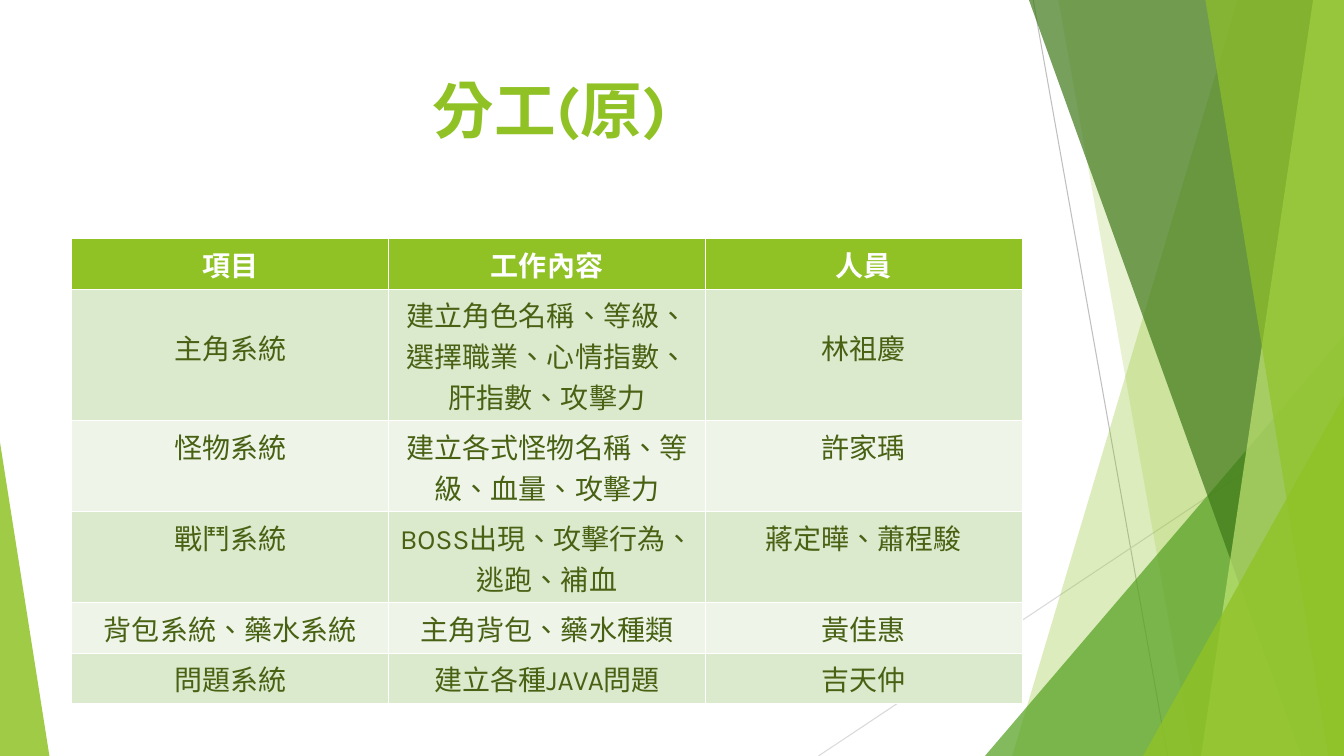
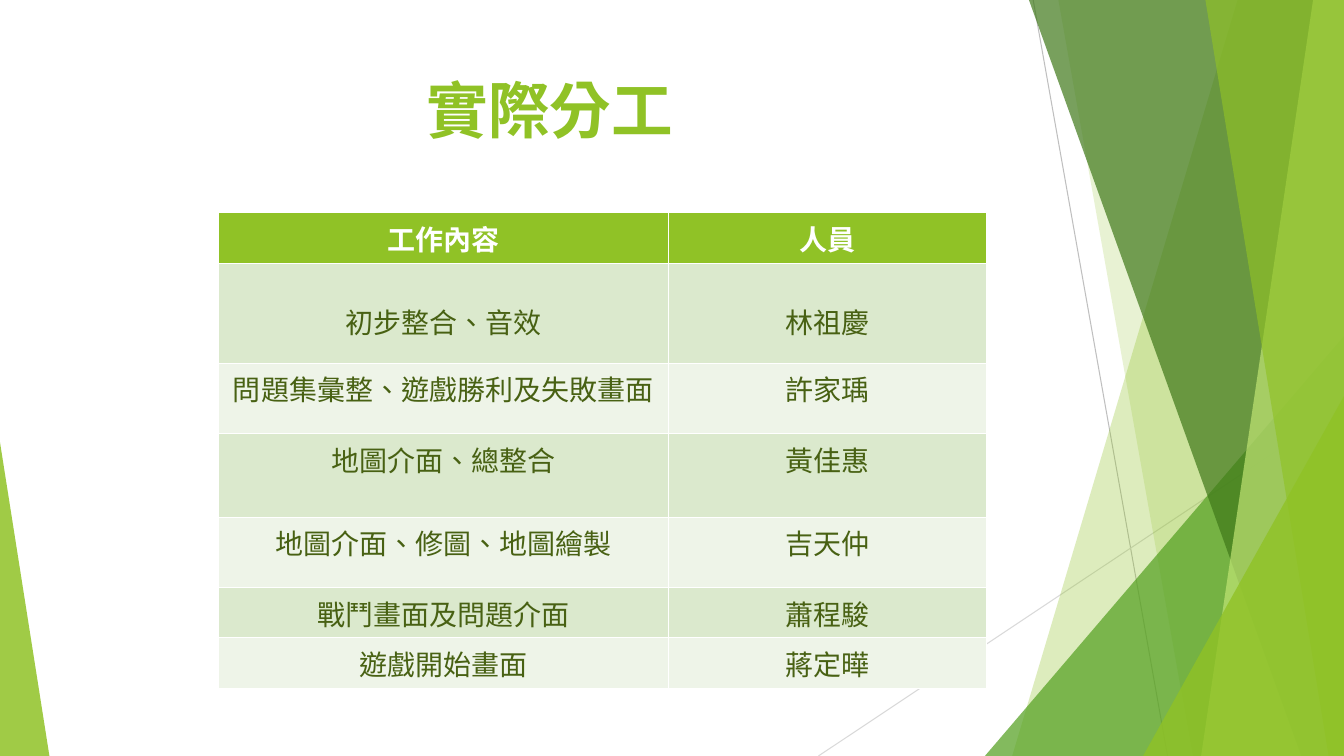
from lxml import etree
from pptx import Presentation
from pptx.dml.color import RGBColor
from pptx.enum.lang import MSO_LANGUAGE_ID
from pptx.enum.shapes import MSO_CONNECTOR, MSO_SHAPE
from pptx.enum.text import MSO_ANCHOR, PP_ALIGN
from pptx.oxml.ns import qn
from pptx.util import Pt

STRAIGHT = MSO_CONNECTOR.STRAIGHT
TRIANGLE = MSO_SHAPE.RIGHT_TRIANGLE
PEAK = MSO_SHAPE.ISOSCELES_TRIANGLE
CENTER = PP_ALIGN.CENTER
TOP = MSO_ANCHOR.TOP
CHINESE = MSO_LANGUAGE_ID.TRADITIONAL_CHINESE

FONT = "Karla"
WIDTH, HEIGHT = 960, 540
COLORS = {
    "lime": "90C226",
    "pale_lime": "C0E474",
    "green": "54A021",
    "forest": "3F7819",
    "text": "486113",
    "white": "FFFFFF",
    "band_dark": "DBE9CD",
    "band_light": "EEF4E8",
    "line_dark": "BFBFBF",
    "line_light": "D9D9D9",
}
CELL_MARGIN = 3.6
FIRST_ROW_MARGIN = 27


def rgb(name):
    return RGBColor.from_string(COLORS[name])


def style_text(p, size, color, bold):
    p.alignment = CENTER
    for r in p.runs:
        r.font.size = Pt(size)
        r.font.name = FONT
        r.font.bold = bold
        r.font.color.rgb = rgb(color)
        r.font.language_id = CHINESE


def fill_glass(sp, color, opacity):
    sp.shadow.inherit = False
    sp.fill.solid()
    sp.fill.fore_color.rgb = rgb(color)
    sp.line.fill.background()
    clr = sp.fill._xPr.find(qn("a:solidFill"))[0]
    etree.SubElement(clr, qn("a:alpha"), val=str(opacity * 1000))


def add_line(s, x1, y1, x2, y2, color):
    line = s.shapes.add_connector(STRAIGHT, Pt(x1), Pt(y1), Pt(x2), Pt(y2))
    line.line.color.rgb = rgb(color)
    line.line.width = Pt(0.75)
    etree.SubElement(line._element.spPr, qn("a:effectLst"))


def add_band(s, box, top_x, bottom_x, color, opacity):
    left, top, width, height = box
    right, bottom = left + width, top + height
    corners = [(right, top), (right, bottom), (left + bottom_x, bottom)]
    outline = s.shapes.build_freeform(Pt(left + top_x), Pt(top), scale=1.0)
    outline.add_line_segments([(Pt(x), Pt(y)) for x, y in corners], close=True)
    fill_glass(outline.convert_to_shape(), color, opacity)


def add_corner(s, box, x, y, width, peak, color, opacity):
    left, top, _, height = box
    sp = s.shapes.add_shape(PEAK, Pt(left + x), Pt(top + y), Pt(width), Pt(height - y))
    sp.adjustments[0] = peak
    fill_glass(sp, color, opacity)


def add_backdrop(s, box):
    left, top, width, height = box
    right, bottom = left + width, top + height
    add_line(s, left + 738, top, left + 834, bottom, "line_dark")
    add_line(s, right, top + 290, left + 584.6, bottom, "line_light")
    add_band(s, box, 884, 723, "lime", 30)
    add_band(s, box, 756, 852, "lime", 20)
    add_corner(s, box, 703.5, 240, 256.5, 1, "green", 72)
    add_band(s, box, 735, 929.5, "forest", 70)
    add_band(s, box, 938, 858, "pale_lime", 70)
    add_band(s, box, 861, 949, "lime", 65)
    add_corner(s, box, 816.5, 283, 143.5, 1, "lime", 80)
    add_corner(s, box, 0, 316, 35.3, 0, "lime", 85)


def add_title(s, box, text):
    tf = s.shapes.add_textbox(*map(Pt, box)).text_frame
    tf.word_wrap = True
    tf.vertical_anchor = TOP
    tf.text = text
    style_text(tf.paragraphs[0], 44, "lime", True)


def add_duty_table(s, left, top, widths, heights, rows, lowered):
    frame = s.shapes.add_table(len(rows), len(widths), Pt(left), Pt(top),
                               Pt(sum(widths)), Pt(sum(heights)))
    table = frame.table
    for column, width in zip(table.columns, widths):
        column.width = Pt(width)
    for i, (values, height) in enumerate(zip(rows, heights)):
        table.rows[i].height = Pt(height)
        header = i == 0
        band = "lime" if header else "band_dark" if i % 2 else "band_light"
        for j, value in enumerate(values):
            cell = table.cell(i, j)
            cell.fill.solid()
            cell.fill.fore_color.rgb = rgb(band)
            cell.vertical_anchor = TOP
            drop = i == 1 and j in lowered
            cell.margin_top = Pt(FIRST_ROW_MARGIN if drop else CELL_MARGIN)
            cell.text = value
            style_text(cell.text_frame.paragraphs[0], 20,
                       "white" if header else "text", header)


def add_duty_slide(prs, title, **table):
    s = prs.slides.add_slide(prs.slide_layouts[6])
    add_backdrop(s, (0, 0, WIDTH, HEIGHT))
    add_title(s, (53.3, 48, 679, 104), title)
    add_duty_table(s, **table)


def main():
    prs = Presentation()
    prs.slide_width, prs.slide_height = Pt(WIDTH), Pt(HEIGHT)
    add_duty_slide(
        prs, "分工(原)",
        left=51.3, top=170.6, widths=[226.3] * 3,
        heights=[36, 94, 65, 65, 36, 36], lowered=(0, 2),
        rows=[
            ("項目", "工作內容", "人員"),
            ("主角系統", "建立角色名稱、等級、選擇職業、心情指數、肝指數、攻擊力", "林祖慶"),
            ("怪物系統", "建立各式怪物名稱、等級、血量、攻擊力", "許家瑀"),
            ("戰鬥系統", "BOSS出現、攻擊行為、逃跑、補血", "蔣定曄、蕭程駿"),
            ("背包系統、藥水系統", "主角背包、藥水種類", "黃佳惠"),
            ("問題系統", "建立各種JAVA問題", "吉天仲"),
        ])
    add_duty_slide(
        prs, "實際分工",
        left=156, top=152, widths=[321.5, 227],
        heights=[36, 71.5, 50.3, 59.6, 50.3, 36, 36], lowered=(0, 1),
        rows=[
            ("工作內容", "人員"),
            ("初步整合、音效", "林祖慶"),
            ("問題集彙整、遊戲勝利及失敗畫面", "許家瑀"),
            ("地圖介面、總整合", "黃佳惠"),
            ("地圖介面、修圖、地圖繪製", "吉天仲"),
            ("戰鬥畫面及問題介面", "蕭程駿"),
            ("遊戲開始畫面", "蔣定曄"),
        ])
    prs.save("out.pptx")


if __name__ == "__main__":
    main()
